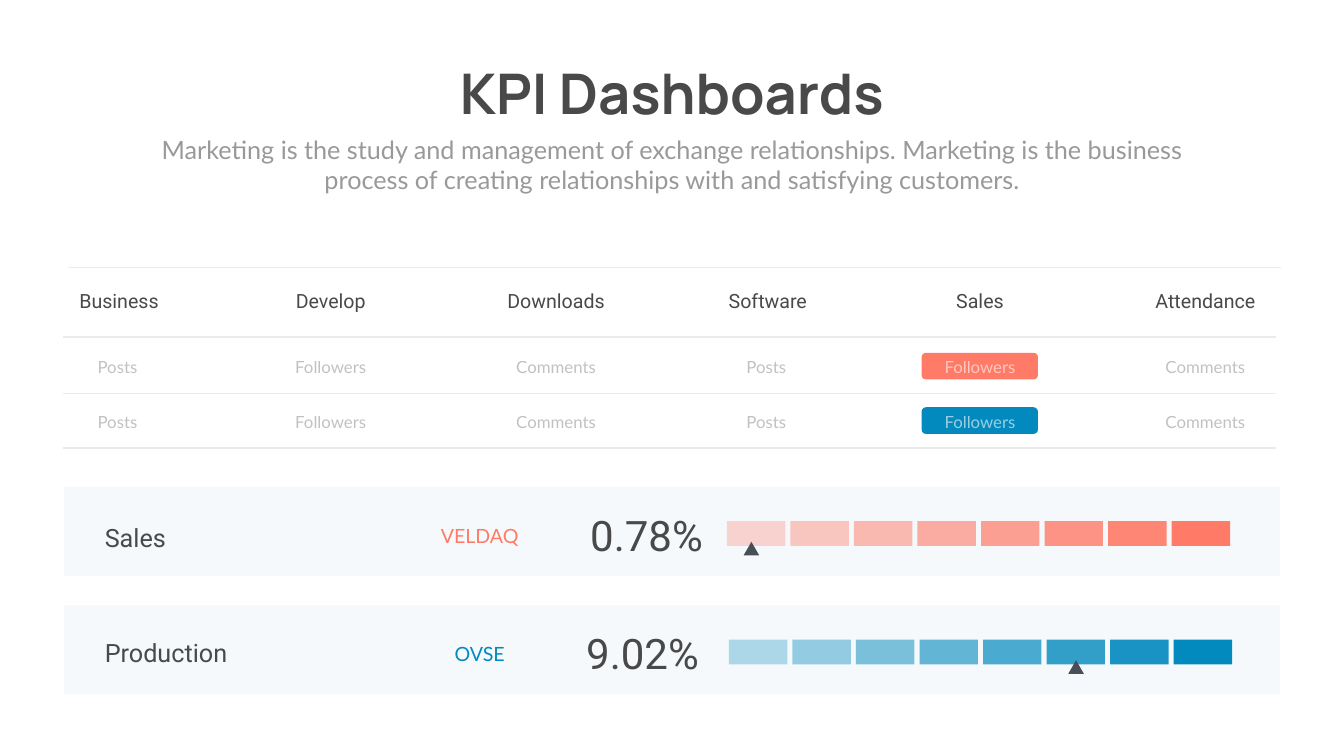
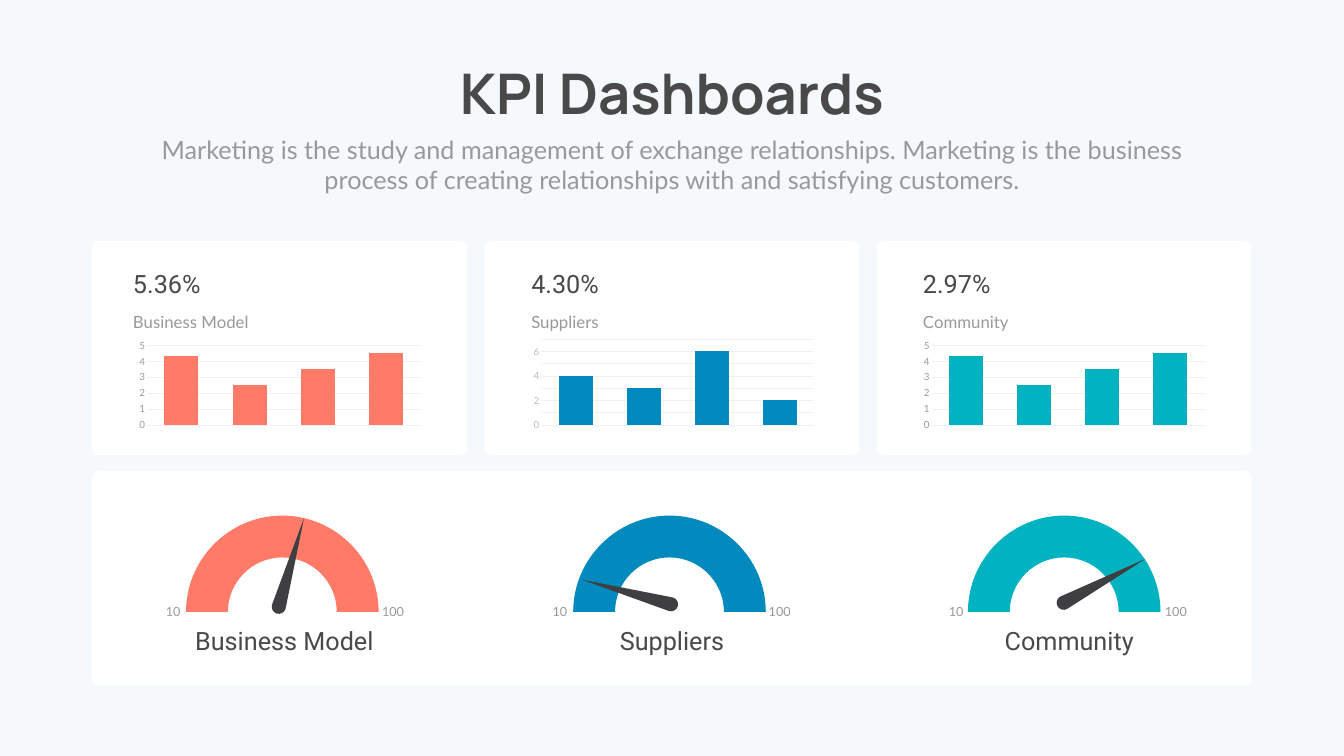
from dataclasses import dataclass
from math import atan2, cos, pi, sin

from lxml.etree import SubElement
from pptx import Presentation
from pptx.chart.data import CategoryChartData
from pptx.dml.color import RGBColor
from pptx.enum.chart import XL_CHART_TYPE as Kind, XL_TICK_MARK as Tick
from pptx.enum.shapes import MSO_CONNECTOR as Wire, MSO_SHAPE as Form
from pptx.enum.text import MSO_ANCHOR as Anchor, MSO_AUTO_SIZE as Fit, PP_ALIGN as Align
from pptx.oxml.ns import qn
from pptx.util import Pt

PX = 9144
WIDE, HIGH = 2666, 1500
BEND = 0.55


@dataclass(frozen=True)
class Theme:
    coral: str = "FF7A67"
    blue: str = "0289BD"
    teal: str = "01B2C0"
    ink: str = "494949"
    gray: str = "999999"
    pale: str = "BDBDBD"
    panel: str = "F5F9FB"
    white: str = "FFFFFF"
    rule: str = "EBEBEB"
    grid: str = "F0F0F0"
    mark: str = "4A4E57"
    needle: str = "3F3E40"
    head: str = "Manrope"
    main: str = "Roboto"
    soft: str = "Lato"
    title: int = 80
    figure: int = 60
    large: int = 36
    medium: int = 28
    small: int = 24
    tiny: int = 18
    axis: int = 14
    lead: float = 40.8


T = Theme()

TITLE = "KPI Dashboards"
INTRO = ("Marketing is the study and management of exchange relationships. "
         "Marketing is the business process of creating relationships with "
         "and satisfying customers.")

POSTS = ["Posts", "Followers", "Comments"] * 2
TABLE = [["Business", "Develop", "Downloads", "Software", "Sales", "Attendance"],
         POSTS, POSTS]
WIDTHS = [338, 502, 392, 448, 394, 500]
HEIGHTS = [139, 119, 100]
RULES = [(134, 531), (124, 669), (124, 781), (124, 889)]
PILLS = [(808, T.blue), (700, T.coral)]
PILL_COL = 4

METRICS = [
    dict(name="Sales", tag="VELDAQ", value="0.78%", color=T.coral,
         top=966, name_top=1031, right=1404, bar=1442, mark=1475),
    dict(name="Production", tag="OVSE", value="9.02%", color=T.blue,
         top=1201, name_top=1260, right=1396, bar=1446, mark=2119),
]

CARDS = [
    dict(name="Business Model", value="5.36%", color=T.coral, text=254, chart=265,
         data=(4.3, 2.5, 3.5, 4.5), top=5, tint=T.gray,
         ring=369, ten=298, label=284, hub=(553, 1204), tip=(603, 1028)),
    dict(name="Suppliers", value="4.30%", color=T.blue, text=1044, chart=1047,
         data=(4, 3, 6, 2), top=7, tint=T.pale,
         ring=1137, ten=1065, label=1053, hub=(1331, 1199), tip=(1154, 1150)),
    dict(name="Community", value="2.97%", color=T.teal, text=1821, chart=1821,
         data=(4.3, 2.5, 3.5, 4.5), top=5, tint=T.gray,
         ring=1920, ten=1851, label=1841, hub=(2110, 1196), tip=(2272, 1109)),
]


def emu(*nums):
    return [round(n * PX) for n in nums]


def rgb(color):
    return RGBColor.from_string(color)


def fade(node, share):
    for tone in node.iter(qn("a:srgbClr")):
        SubElement(tone, qn("a:alpha"), val=str(share * 1000))


def ink(font, size, face, color):
    font.size, font.name = Pt(size), face
    font.color.rgb = rgb(color)


def write(frame, text, size, face, color, align=Align.LEFT, lead=None, bold=False):
    frame.text = text
    par = frame.paragraphs[0]
    par.alignment = align
    par.space_before = Pt(0)
    par.line_spacing = Pt(lead) if lead else 1.0
    ink(par.font, size, face, color)
    par.font.bold = bold


def label(slide, text, box, *look, **more):
    frame = slide.shapes.add_textbox(*emu(*box)).text_frame
    frame.word_wrap = True
    write(frame, text, *look, **more)


def paint(shape, color):
    shape.shadow.inherit = False
    shape.fill.solid()
    shape.fill.fore_color.rgb = rgb(color)
    shape.line.fill.background()
    return shape


def block(slide, form, box, color):
    return paint(slide.shapes.add_shape(form, *emu(*box)), color)


def card(slide, box):
    block(slide, Form.ROUNDED_RECTANGLE, box, T.white).adjustments[0] = 0.03


def outline(slide, first, parts, color):
    draft = slide.shapes.build_freeform(*emu(*first), scale=1)
    draft.add_line_segments([emu(*dot) for part in parts for dot in part], close=True)
    shape = paint(draft.convert_to_shape(), color)
    lines = iter(list(shape.element.iter(qn("a:lnTo"))))
    for part in parts:
        group = [next(lines) for _ in part]
        if len(part) == 3:
            curve = SubElement(group[0].getparent(), qn("a:cubicBezTo"))
            group[0].addprevious(curve)
            for line in group:
                curve.append(line[0])
                line.getparent().remove(line)


def spot(mid, size, turn, pull=0):
    return (mid[0] + size * (cos(turn) - pull * sin(turn)),
            mid[1] - size * (sin(turn) + pull * cos(turn)))


def bends(mid, size, turn, way):
    parts = []
    for n in range(2):
        here = turn + way * n * pi / 2
        there = here + way * pi / 2
        parts.append([spot(mid, size, here, way * BEND),
                      spot(mid, size, there, -way * BEND), spot(mid, size, there)])
    return parts


def rule(slide, left, top):
    line = slide.shapes.add_connector(Wire.STRAIGHT, *emu(left, top, left + 2407, top))
    line.line.color.rgb = rgb(T.rule)
    line.line.width = Pt(2)
    SubElement(line.element.spPr, qn("a:effectLst"))


def place(shape, box, anchor, wrap):
    shape.left, shape.top, shape.width, shape.height = emu(*box)
    frame = shape.text_frame
    frame.auto_size = Fit.NONE
    frame.vertical_anchor, frame.word_wrap = anchor, wrap
    return frame


def start(deck):
    slide = deck.slides.add_slide(deck.slide_layouts[0])
    frame = place(slide.shapes.title, (867, 110, 932, 145), Anchor.MIDDLE, False)
    write(frame, TITLE, T.title, T.head, T.ink, Align.CENTER, bold=True)
    frame = place(slide.placeholders[1], (292, 261, 2082, 131), Anchor.TOP, True)
    write(frame, INTRO, T.large, T.soft, T.gray, Align.CENTER)
    return slide


def grid(slide):
    for top, color in PILLS:
        block(slide, Form.ROUNDED_RECTANGLE, (1828, top, 231, 53), color)
    box = emu(67, 530, sum(WIDTHS), sum(HEIGHTS))
    table = slide.shapes.add_table(len(TABLE), len(WIDTHS), *box).table
    table.first_row = table.horz_banding = False
    for col, width in zip(table.columns, WIDTHS):
        col.width = width * PX
    for row, height in zip(table.rows, HEIGHTS):
        row.height = height * PX
    for r, words in enumerate(TABLE):
        for c, word in enumerate(words):
            cell = table.cell(r, c)
            cell.fill.background()
            cell.vertical_anchor = Anchor.MIDDLE
            frame = cell.text_frame
            if r == 0:
                write(frame, word, T.medium, T.main, T.ink, Align.CENTER)
            else:
                color = T.white if c == PILL_COL else T.gray
                write(frame, word, T.small, T.soft, color, Align.CENTER)
                fade(frame._txBody, 60)
                if word == "Posts":
                    cell.margin_right = 16 * PX
    for left, top in RULES:
        rule(slide, left, top)


def metric(slide, m):
    top = m["top"]
    block(slide, Form.RECTANGLE, (127, top, 2412, 177), T.panel)
    label(slide, m["name"], (198, m["name_top"], 397, 71), T.large, T.main, T.ink)
    label(slide, m["tag"], (793, top + 58, 317, 62), T.medium, T.soft, m["color"],
          Align.CENTER, lead=T.lead)
    label(slide, m["value"], (m["right"] - 298, top + 39, 298, 111),
          T.figure, T.main, T.ink, Align.RIGHT)
    for n in range(8):
        box = (m["bar"] + 126 * n, top + 68, 116, 49)
        bar = block(slide, Form.RECTANGLE, box, m["color"])
        if n < 7:
            fade(bar.element.spPr, 30 + 10 * n)
    block(slide, Form.ISOSCELES_TRIANGLE, (m["mark"], top + 109, 31, 27), T.mark)


def columns(slide, c):
    data = CategoryChartData()
    data.categories = ["1", "2", "3", "4"]
    data.add_series("Series 1", c["data"])
    box = emu(c["chart"], 669, 580, 190)
    chart = slide.shapes.add_chart(Kind.COLUMN_STACKED, *box, data).chart
    chart.has_legend = chart.has_title = False
    ink(chart.font, T.axis, T.soft, T.gray)
    plot = chart.plots[0]
    plot.gap_width = plot.overlap = 100
    plot.vary_by_categories = False
    fill = plot.series[0].format.fill
    fill.solid()
    fill.fore_color.rgb = rgb(c["color"])
    chart.category_axis.visible = False
    axis = chart.value_axis
    axis.minimum_scale, axis.maximum_scale, axis.major_unit = 0, c["top"], 1
    axis.major_tick_mark = axis.minor_tick_mark = Tick.NONE
    axis.format.line.fill.background()
    ink(axis.tick_labels.font, T.axis, T.soft, c["tint"])
    line = axis.major_gridlines.format.line
    line.color.rgb = rgb(T.grid)
    line.width = Pt(0.75)


def gauge(slide, c):
    hub, tip, ten = c["hub"], c["tip"], c["ten"]
    mid = (c["ring"] + 191, 1214)
    ring = bends(mid, 191, 0, 1) + [[spot(mid, 108, pi)]] + bends(mid, 108, pi, -1)
    outline(slide, spot(mid, 191, 0), ring, c["color"])
    side = atan2(hub[1] - tip[1], tip[0] - hub[0]) + pi / 2
    outline(slide, tip, [[spot(hub, 14, side)]] + bends(hub, 14, side, 1), T.needle)
    look = T.tiny, T.soft, T.gray
    label(slide, "10", (ten, 1166, 70, 59), *look, Align.RIGHT, lead=T.lead)
    label(slide, "100", (ten + 450, 1166, 90, 59), *look, lead=T.lead)
    label(slide, c["name"], (c["label"], 1235, 560, 71),
          T.large, T.main, T.ink, Align.CENTER)


def main():
    deck = Presentation()
    deck.slide_width, deck.slide_height = emu(WIDE, HIGH)

    slide = start(deck)
    for m in METRICS:
        metric(slide, m)
    grid(slide)

    slide = start(deck)
    back = block(slide, Form.RECTANGLE, (0, 0, WIDE, HIGH), T.panel).element
    back.getparent().insert(2, back)
    card(slide, (183, 935, 2300, 425))
    for n, c in enumerate(CARDS):
        card(slide, (183 + 778 * n, 478, 743, 425))
        columns(slide, c)
        label(slide, c["name"], (c["text"], 597, 293, 60),
              T.small, T.soft, T.gray, lead=T.lead)
        label(slide, c["value"], (c["text"], 527, 204, 71), T.large, T.main, T.ink)
        gauge(slide, c)

    deck.save("out.pptx")


if __name__ == "__main__":
    main()
